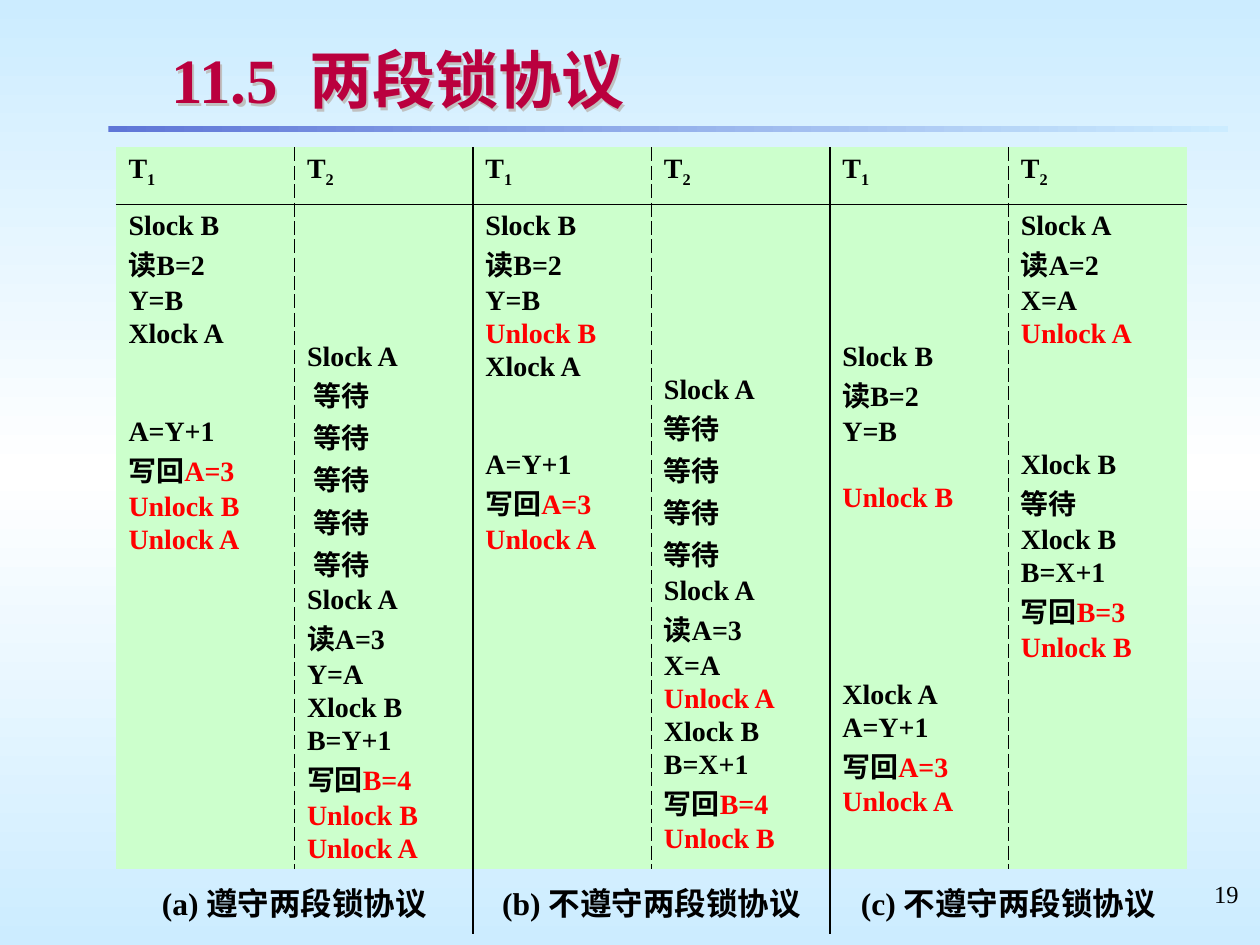
"""Builds the slide on the two-phase locking protocol."""
from lxml.etree import SubElement as Sub
from pptx import Presentation
from pptx.dml.color import RGBColor
from pptx.enum.shapes import MSO_SHAPE as Shape
from pptx.enum.text import MSO_ANCHOR as Anchor, PP_ALIGN as Align
from pptx.oxml.ns import qn
from pptx.util import Inches, Pt

FONT = "Times New Roman"
BLACK, RED, WINE, MINT, SKY = "000000", "FF0000", "BA003E", "CCFFCC", "CCECFF"
PLAIN = "{2D5ABB26-0587-4C30-8999-92F81FD0307C}"
LINE = 18.75
WAIT = "等待"
HEADS = ["1", "2"] * 3
STEPS = [
    ["Slock B", "读B=2", "Y=B", "Xlock A", 2, "A=Y+1", "写回|A=3",
     "Unlock B", "Unlock A"],
    [4, "Slock A", *[">" + WAIT] * 5, "Slock A", "读A=3", "Y=A", "Xlock B",
     "B=Y+1", "写回|B=4", "Unlock B", "Unlock A"],
    ["Slock B", "读B=2", "Y=B", "Unlock B", "Xlock A", 2, "A=Y+1",
     "写回|A=3", "Unlock A"],
    [5, "Slock A", *[WAIT] * 4, "Slock A", "读A=3", "X=A", "Unlock A",
     "Xlock B", "B=X+1", "写回|B=4", "Unlock B"],
    [4, "Slock B", "读B=2", "Y=B", 1, "Unlock B", 5, "Xlock A", "A=Y+1",
     "写回|A=3", "Unlock A"],
    ["Slock A", "读A=2", "X=A", "Unlock A", 3, "Xlock B", WAIT, "Xlock B",
     "B=X+1", "写回|B=3", "Unlock B"],
]
NOTES = ["(a) 遵守两段锁协议", "(b) 不遵守两段锁协议", "(c) 不遵守两段锁协议"]
ROWS = [0.45, 5.28, 0.51]
SOLID, DASH, THIN = (1, "solid"), (0.45, "dash"), (0.45, "solid")


def tint(code):
    return RGBColor.from_string(code)


def write(para, text, size, color=BLACK, bold=True):
    run = para.add_run()
    run.text = text
    font = run.font
    font.name, font.size, font.bold = FONT, Pt(size), bold
    font.color.rgb = tint(color)
    return run._r.get_or_add_rPr()


def blend(fill, root, stops, angle):
    fill.gradient()
    grad = next(root.iter(qn("a:gradFill")))
    band = grad.find(qn("a:gsLst"))
    for old in list(band):
        band.remove(old)
    for pos, code in stops:
        stop = Sub(band, qn("a:gs"), pos=str(pos * 1000))
        Sub(stop, qn("a:srgbClr"), val=code)
    grad.find(qn("a:lin")).set("ang", str(angle * 60000))


def add_box(slide, spot, inset):
    box = slide.shapes.add_textbox(*map(Inches, spot))
    frame = box.text_frame
    frame.word_wrap = True
    frame.margin_top = frame.margin_bottom = Inches(inset)
    return box


def add_title(slide):
    box = add_box(slide, (1.26, 0.29, 8.24, 0.67), 0.04)
    frame = box.text_frame
    frame.vertical_anchor = Anchor.MIDDLE
    for text in ("11.5", " ", "两段锁协议"):
        props = write(frame.paragraphs[0], text, 36, WINE)
        if text == " ":
            props.set("spc", "900")
    glow = Sub(box._element.spPr, qn("a:effectLst"))
    shade = Sub(glow, qn("a:outerShdw"), dist="25400", dir="2700000")
    Sub(shade, qn("a:srgbClr"), val="C0C0C0")


def edge(row, col):
    if col in (0, 6) or row == 2 and col % 2:
        return None
    return DASH if col % 2 else SOLID


def rule(cell, row, col):
    props = cell._tc.get_or_add_tcPr()
    sides = [("L", edge(row, col)), ("R", edge(row, col + 1)),
             ("T", THIN if row == 1 else None),
             ("B", THIN if row == 0 else None)]
    for place, (side, style) in enumerate(sides):
        line = props.makeelement(qn("a:ln" + side), {})
        props.insert(place, line)
        if style is None:
            Sub(line, qn("a:noFill"))
            continue
        width, dash = style
        line.set("w", str(Pt(width)))
        Sub(Sub(line, qn("a:solidFill")), qn("a:srgbClr"), val=BLACK)
        Sub(line, qn("a:prstDash"), val=dash)


def fill_steps(cell, steps, align):
    frame, gap, first = cell.text_frame, 0, True
    for step in steps:
        if isinstance(step, int):
            gap = step
            continue
        para = frame.paragraphs[0] if first else frame.add_paragraph()
        para.alignment = align
        if first:
            cell.margin_top = Inches(0.05) + Pt(gap * LINE)
        else:
            para.space_before = Pt(1 + gap * LINE)
        if step.startswith(">"):
            para._p.get_or_add_pPr().set("marL", str(Inches(0.05)))
        head, _, tail = step.lstrip(">").partition("|")
        write(para, head, 16, RED if head.startswith("Unlock") else BLACK)
        if tail:
            write(para, tail, 16, RED)
        gap, first = 0, False


def add_grid(slide):
    spot = map(Inches, (0.92, 1.17, 8.5, sum(ROWS)))
    grid = slide.shapes.add_table(3, 6, *spot).table
    grid._tbl.tblPr.find(qn("a:tableStyleId")).text = PLAIN
    grid.first_row = grid.horz_banding = False
    for row, high in enumerate(ROWS):
        grid.rows[row].height = Inches(high)
        for col in range(6):
            cell = grid.cell(row, col)
            if row < 2:
                cell.fill.solid()
                cell.fill.fore_color.rgb = tint(MINT)
            else:
                cell.fill.background()
            rule(cell, row, col)
    for col, (head, steps) in enumerate(zip(HEADS, STEPS)):
        para = grid.cell(0, col).text_frame.paragraphs[0]
        write(para, "T", 16)
        write(para, head, 16).set("baseline", "-25000")
        align = Align.LEFT if col else Align.JUSTIFY
        fill_steps(grid.cell(1, col), steps, align)
    for pair, note in enumerate(NOTES):
        cell = grid.cell(2, pair * 2)
        cell.merge(grid.cell(2, pair * 2 + 1))
        cell.vertical_anchor = Anchor.MIDDLE
        para = cell.text_frame.paragraphs[0]
        para.alignment = Align.CENTER
        write(para, note, 18)


def main():
    deck = Presentation()
    deck.slide_width, deck.slide_height = Inches(10), Inches(7.5)
    slide = deck.slides.add_slide(deck.slide_layouts[6])
    blend(slide.background.fill, slide._element,
          [(0, SKY), (50, "FFFFFF"), (100, SKY)], 90)
    spot = map(Inches, (0.86, 1, 8.89, 0.05))
    bar = slide.shapes.add_shape(Shape.RECTANGLE, *spot)
    bar.shadow.inherit = False
    bar.line.fill.background()
    blend(bar.fill, bar._element, [(0, "5F76D7"), (100, SKY)], 0)
    page = add_box(slide, (7.6, 6.93, 2.33, 0.52), 0.05)
    para = page.text_frame.paragraphs[0]
    para.alignment = Align.RIGHT
    write(para, "19", 14, bold=False)
    add_title(slide)
    add_grid(slide)
    deck.save("out.pptx")


if __name__ == "__main__":
    main()
